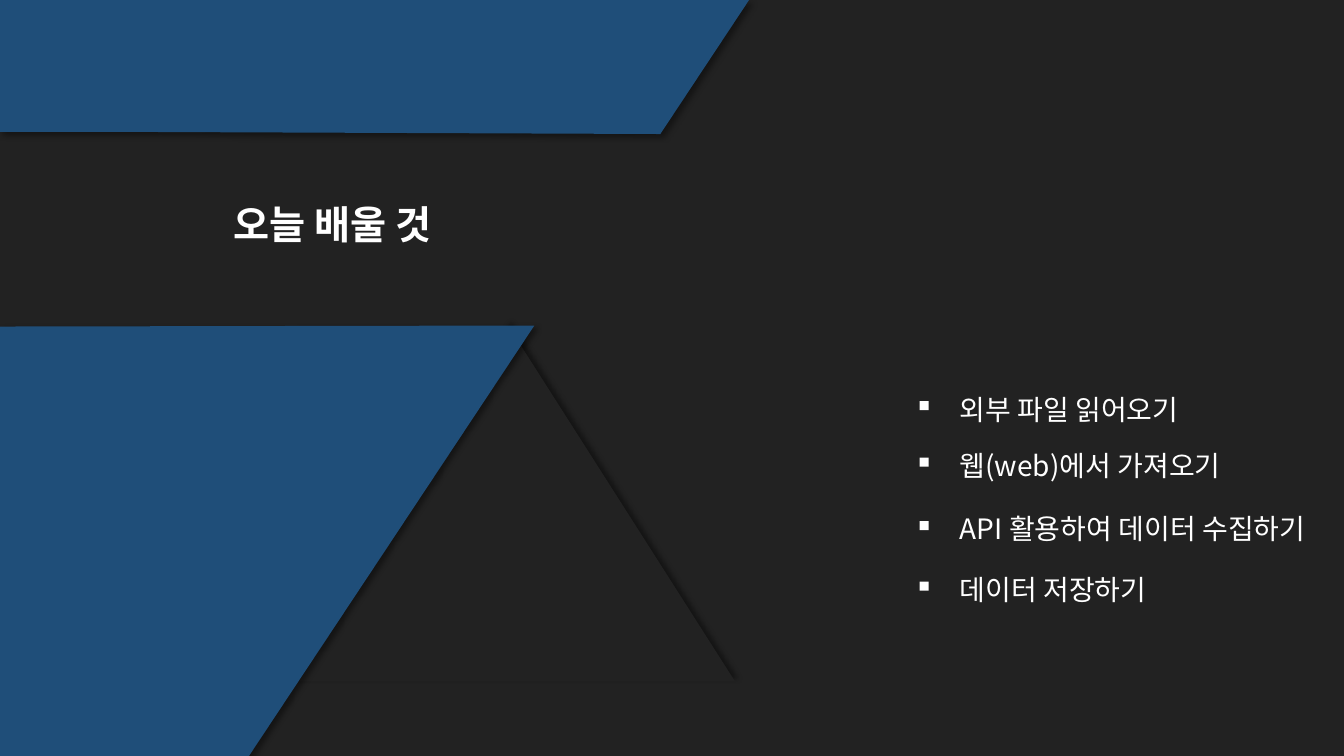
import lxml.etree
import pptx
import pptx.dml.color
import pptx.enum.shapes
import pptx.enum.text
import pptx.oxml.ns
import pptx.util

Inches = pptx.util.Inches
Pt = pptx.util.Pt
PRESET = pptx.enum.shapes.MSO_SHAPE
ALIGN = pptx.enum.text.PP_ALIGN

COLORS = {"ground": "222222", "band": "1F4E79", "ink": "FFFFFF", "shadow": "000000"}
FONT = "Noto Sans CJK KR"
TITLE_FONT = {"size": Pt(28), "bold": True, "name": FONT}
TOPIC_FONT = {"size": Pt(20), "name": FONT}
TOPICS = [
    ("외부 파일 읽어오기", 0, 2.64),
    ("웹(web)에서 가져오기", 0.56, 2.96),
    ("API 활용하여 데이터 수집하기", 1.19, 4.1),
    ("데이터 저장하기", 1.79, 2.36),
]
MARKER_SIZE = 0.09


def rgb(name):
    """Return the named colour."""
    return pptx.dml.color.RGBColor.from_string(COLORS[name])


def paint(shape, color):
    """Give a shape a plain fill without line or shadow."""
    shape.fill.solid()
    shape.fill.fore_color.rgb = rgb(color)
    shape.line.fill.background()
    shape.shadow.inherit = False


def cast_shadow(shape, angle):
    """Add a soft outer shadow falling at the given angle."""
    qn = pptx.oxml.ns.qn
    effects = shape._element.spPr.find(qn("a:effectLst"))
    shadow = lxml.etree.SubElement(
        effects, qn("a:outerShdw"), blurRad=str(Pt(4)), dist=str(Pt(3)),
        dir=str(angle * 60000), algn="ctr", rotWithShape="0")
    tint = lxml.etree.SubElement(shadow, qn("a:srgbClr"), val=COLORS["shadow"])
    lxml.etree.SubElement(tint, qn("a:alpha"), val="40000")


def add_band(slide, left, top, outline):
    """Draw a blue slanted band from corner points relative to its box."""
    corners = [(Inches(left + x), Inches(top + y)) for x, y in outline]
    builder = slide.shapes.build_freeform(*corners[0])
    builder.add_line_segments(corners[1:], close=True)
    band = builder.convert_to_shape()
    paint(band, "band")
    cast_shadow(band, 45)


def add_text(slide, text, box, font, align):
    """Write one unwrapped line of text in the given box."""
    frame = slide.shapes.add_textbox(*map(Inches, box)).text_frame
    frame.word_wrap = False
    frame.auto_size = pptx.enum.text.MSO_AUTO_SIZE.SHAPE_TO_FIT_TEXT
    line = frame.paragraphs[0]
    line.alignment = align
    run = line.add_run()
    run.text = text
    for attribute, value in font.items():
        setattr(run.font, attribute, value)
    run.font.color.rgb = rgb("ink")
    lxml.etree.SubElement(
        run.font._element, pptx.oxml.ns.qn("a:ea"), typeface=FONT)


def add_backdrop(slide, left, top, width, height):
    """Draw the dark triangle and the two blue bands on the left side."""
    triangle = slide.shapes.add_shape(
        PRESET.ISOSCELES_TRIANGLE, Inches(left + 2.79), Inches(top + 3.23),
        Inches(4.5), Inches(3.53))
    paint(triangle, "ground")
    cast_shadow(triangle, 315)
    add_band(slide, left, top,
             [(0, 0), (width, 0), (6.55, 1.33), (1.55, 1.31), (0, 1.31)])
    lower = 3.23
    add_band(slide, left, top + lower,
             [(0, 0.01), (5.3, 0), (2.47, height - lower), (0, height - lower)])


def add_topics(slide, left, top):
    """List the topics, each with a square marker on its left."""
    for topic, offset, width in TOPICS:
        row = top + offset
        add_text(slide, topic, (left + 0.3, row, width, 0.44), TOPIC_FONT, ALIGN.LEFT)
        marker = slide.shapes.add_shape(
            PRESET.RECTANGLE, Inches(left), Inches(row + 0.14),
            Inches(MARKER_SIZE), Inches(MARKER_SIZE))
        paint(marker, "ink")


def main():
    """Build and save the agenda slide."""
    deck = pptx.Presentation()
    deck.slide_width, deck.slide_height = Inches(13.33), Inches(7.5)
    agenda = deck.slides.add_slide(deck.slide_layouts[6])
    agenda.background.fill.solid()
    agenda.background.fill.fore_color.rgb = rgb("ground")
    add_backdrop(agenda, 0, 0, 7.43, 7.5)
    add_text(agenda, "오늘 배울 것", (2.08, 1.94, 2.44, 0.57), TITLE_FONT, ALIGN.CENTER)
    add_topics(agenda, 9.12, 3.84)
    deck.save("out.pptx")


if __name__ == "__main__":
    main()
